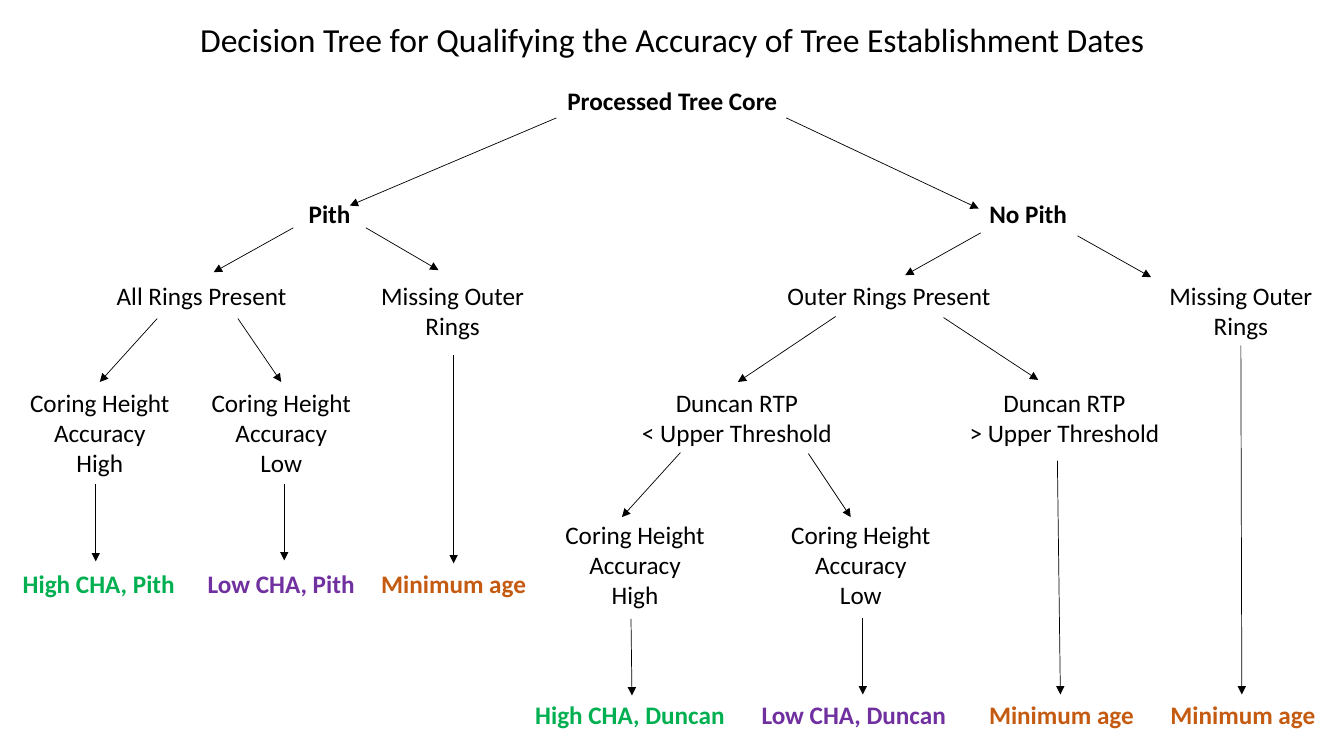
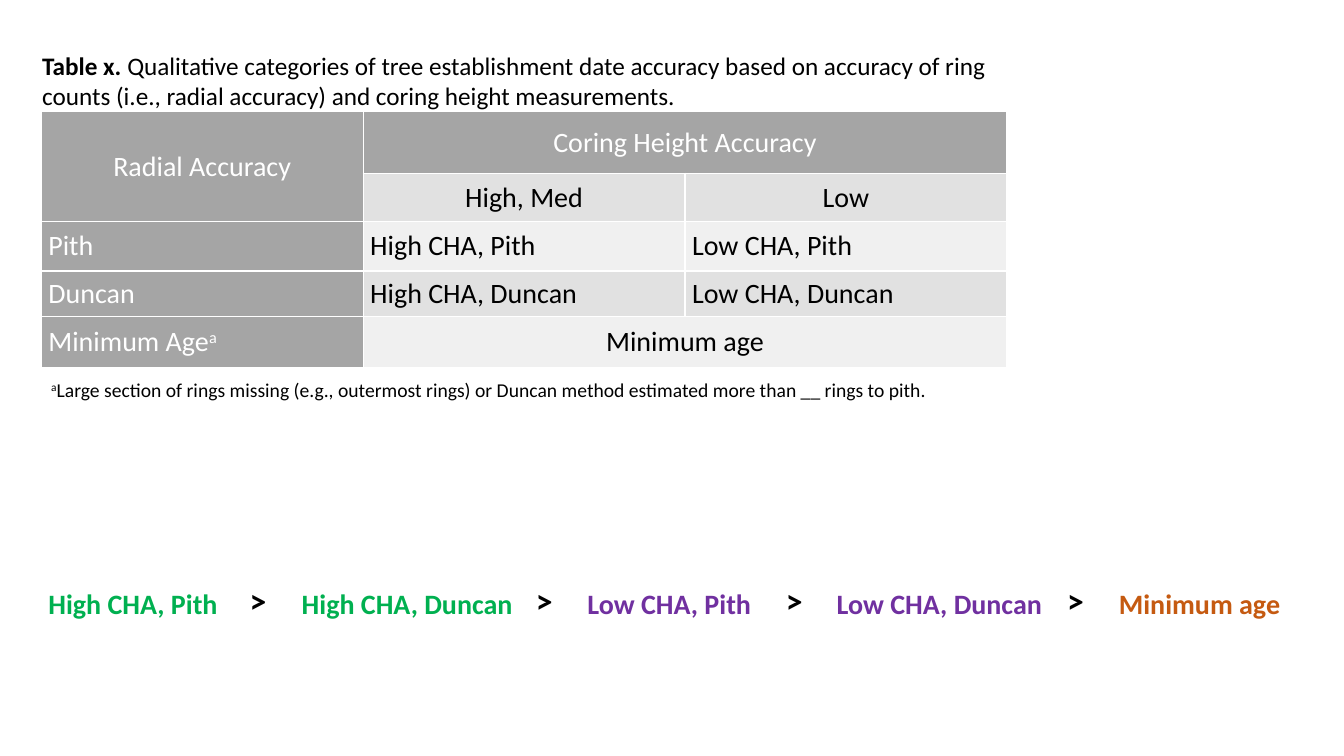
import lxml.etree
import pptx
import pptx.dml.color
import pptx.enum.shapes
import pptx.enum.text
import pptx.oxml.ns
import pptx.util

HUES = {
    "ink": "000000", "white": "FFFFFF", "head": "A5A5A5",
    "dark": "E1E1E1", "light": "F0F0F0",
    "High": "00B050", "Low": "7030A0", "Minimum": "C55A11",
}
WIDE, TALL = 133.33, 75
UNIT = 0.1
SIDES = {
    "left": pptx.enum.text.PP_ALIGN.LEFT,
    "mid": pptx.enum.text.PP_ALIGN.CENTER,
}


def span(cells):
    return pptx.util.Inches(cells * UNIT)


def hue(name):
    return pptx.dml.color.RGBColor.from_string(HUES[name])


def write(frame, text, size=18, tone="ink", bold=False, side="mid"):
    for spot, line in enumerate(text.split("\n") if isinstance(text, str) else text):
        para = frame.add_paragraph() if spot else frame.paragraphs[0]
        para.alignment = SIDES[side]
        for part, look in [(line, {})] if isinstance(line, str) else line:
            run = para.add_run()
            run.text = part
            run.font.name = "Calibri"
            run.font.size = pptx.util.Pt(size)
            run.font.bold = look.get("bold", bold)
            run.font.color.rgb = hue(tone)
            if look.get("raised"):
                run._r.get_or_add_rPr().set("baseline", "30000")


class Deck:
    def __init__(self):
        self.show = pptx.Presentation()
        self.show.slide_width = span(WIDE)
        self.show.slide_height = span(TALL)

    def page(self):
        self.slide = self.show.slides.add_slide(self.show.slide_layouts[6])

    def label(self, text, mid, top, wide, size=18, side="mid", **look):
        lines = text.count("\n") + 1 if isinstance(text, str) else len(text)
        high = lines * size * 0.17 + 1
        box = self.slide.shapes.add_textbox(
            span(mid - wide / 2), span(top), span(wide), span(high))
        frame = box.text_frame
        frame.word_wrap = side == "left"
        frame.auto_size = pptx.enum.text.MSO_AUTO_SIZE.SHAPE_TO_FIT_TEXT
        write(frame, text, size=size, side=side, **look)

    def result(self, text, mid, top, wide, size=18):
        self.label(text, mid, top, wide, size=size, tone=text.split()[0], bold=True)

    def arrow(self, *ends):
        line = self.slide.shapes.add_connector(
            pptx.enum.shapes.MSO_CONNECTOR.STRAIGHT, *map(span, ends))
        line.line.color.rgb = hue("ink")
        line.line.width = pptx.util.Pt(0.5)
        qn = pptx.oxml.ns.qn
        lxml.etree.SubElement(line.line._ln, qn("a:tailEnd"), type="triangle")
        lxml.etree.SubElement(line._element.spPr, qn("a:effectLst"))

    def edge(self, cell):
        qn = pptx.oxml.ns.qn
        props = cell._tc.get_or_add_tcPr()
        for side in "LRTB":
            rim = lxml.etree.SubElement(
                props, qn("a:ln" + side), w=str(pptx.util.Pt(1)))
            fill = lxml.etree.SubElement(rim, qn("a:solidFill"))
            lxml.etree.SubElement(fill, qn("a:srgbClr"), val=HUES["white"])

    def table(self, data, left, top, cols, rows, joins):
        grid = self.slide.shapes.add_table(
            len(rows), len(cols), span(left), span(top),
            span(sum(cols)), span(sum(rows))).table
        grid.first_row = grid.horz_banding = False
        for col, wide in zip(grid.columns, cols):
            col.width = span(wide)
        for row, high in zip(grid.rows, rows):
            row.height = span(high)
        for y, line in enumerate(data):
            for x, text in enumerate(line):
                cell = grid.cell(y, x)
                head = x == 0 or y == 0
                self.edge(cell)
                cell.fill.solid()
                cell.fill.fore_color.rgb = hue(
                    "head" if head else "dark" if y % 2 else "light")
                cell.vertical_anchor = pptx.enum.text.MSO_ANCHOR.MIDDLE
                cell.margin_left = cell.margin_right = span(0.7)
                cell.margin_top = cell.margin_bottom = 0
                if text:
                    mid = y < 2 or (y, x) in joins
                    write(cell.text_frame, text, size=20,
                          tone="white" if head else "ink",
                          side="mid" if mid else "left")
        for (y, x), (down, right) in joins.items():
            grid.cell(y, x).merge(grid.cell(down, right))


def tree(deck):
    deck.page()
    deck.label("Decision Tree for Qualifying the Accuracy of Tree Establishment Dates",
               66.7, 1.4, 98.8, size=24)
    for text, mid, top, wide in [
        ("Processed Tree Core", 66.7, 8, 23),
        ("Pith", 32.7, 19.2, 6.2),
        ("No Pith", 102, 19.2, 9.8),
    ]:
        deck.label(text, mid, top, wide, bold=True)
    for text, mid, top, wide in [
        ("All Rings Present", 20, 27.3, 19),
        ("Missing Outer\nRings", 44.9, 27.3, 16.3),
        ("Outer Rings Present", 88.2, 27.3, 22.4),
        ("Missing Outer\nRings", 123.1, 27.3, 16.9),
        ("Duncan RTP\n< Upper Threshold", 73.1, 37.9, 21.1),
        ("Duncan RTP\n> Upper Threshold", 105.6, 37.9, 21.1),
    ]:
        deck.label(text, mid, top, wide)
    for level, mid, top in [
        ("High", 9.9, 37.9), ("Low", 27.9, 37.9),
        ("High", 63, 51), ("Low", 85.4, 51),
    ]:
        deck.label("Coring Height\nAccuracy\n" + level, mid, top, 16)
    for top, row in [
        (55.9, [("High CHA, Pith", 9.8, 17.2), ("Low CHA, Pith", 27.9, 16.8),
                ("Minimum age", 45, 16.5)]),
        (68.9, [("High CHA, Duncan", 62.5, 21), ("Low CHA, Duncan", 84.7, 20.5),
                ("Minimum age", 105.3, 16.5), ("Minimum age", 123.3, 16.5)]),
    ]:
        for text, mid, wide in row:
            deck.result(text, mid, top, wide)
    for ends in [
        (55.2, 11.7, 34.7, 20.4), (78, 11.7, 97.1, 20.7),
        (29.1, 22.6, 21.2, 27), (36.3, 22.6, 43.5, 26.8),
        (97.3, 23.1, 89.8, 27.3), (106.9, 23.4, 114.2, 27.5),
        (15.6, 31.6, 9.9, 37.9), (23.6, 31.6, 27.9, 37.9),
        (82.9, 31.4, 73.2, 37.9), (93.6, 31.5, 103, 37.7),
        (67.5, 44.9, 61.7, 51.3), (80.2, 45, 84.4, 51.3),
        (9.5, 48, 9.5, 55.7), (28.2, 48, 28.2, 55.6),
        (45, 35.2, 45, 55.9), (62.6, 61.4, 62.7, 69),
        (85.6, 61.3, 85.6, 68.9), (104.9, 45.7, 105.2, 68.9),
        (123.1, 34.3, 123.2, 68.9),
    ]:
        deck.arrow(*ends)


def ranks(deck):
    deck.page()
    deck.table(
        [["Radial Accuracy", "Coring Height Accuracy", ""],
         ["", "High, Med", "Low"],
         ["Pith", "High CHA, Pith", "Low CHA, Pith"],
         ["Duncan", "High CHA, Duncan", "Low CHA, Duncan"],
         [[[("Minimum Age", {}), ("a", {"raised": True})]], "Minimum age", ""]],
        4.1, 11.1, [31.93] * 3, [6.1, 4.8, 4.9, 4.5, 5.1],
        {(0, 0): (1, 0), (0, 1): (0, 2), (4, 1): (4, 2)})
    deck.label(
        [[("Table x. ", {"bold": True}),
          ("Qualitative categories of tree establishment date accuracy "
           "based on accuracy of ring", {})],
         "counts (i.e., radial accuracy) and coring height measurements."],
        51.85, 4.5, 97.3, side="left")
    deck.label(
        [[("a", {"raised": True}),
          ("Large section of rings missing (e.g., outermost rings) or Duncan "
           "method estimated more than __ rings to pith.", {})]],
        48.95, 37, 89.7, size=14, side="left")
    for text, mid, wide in [
        ("High CHA, Pith", 13.2, 18.9), ("High CHA, Duncan", 40.4, 23.1),
        ("Low CHA, Pith", 66.4, 18.4), ("Low CHA, Duncan", 93.2, 22.6),
        ("Minimum age", 119, 18.1),
    ]:
        deck.result(text, mid, 57.7, wide, size=20)
    for mid in (25.6, 54, 78.8, 106.7):
        deck.label(">", mid, 57, 3.7, size=24, bold=True)


def main():
    deck = Deck()
    tree(deck)
    ranks(deck)
    deck.show.save("out.pptx")


if __name__ == "__main__":
    main()
